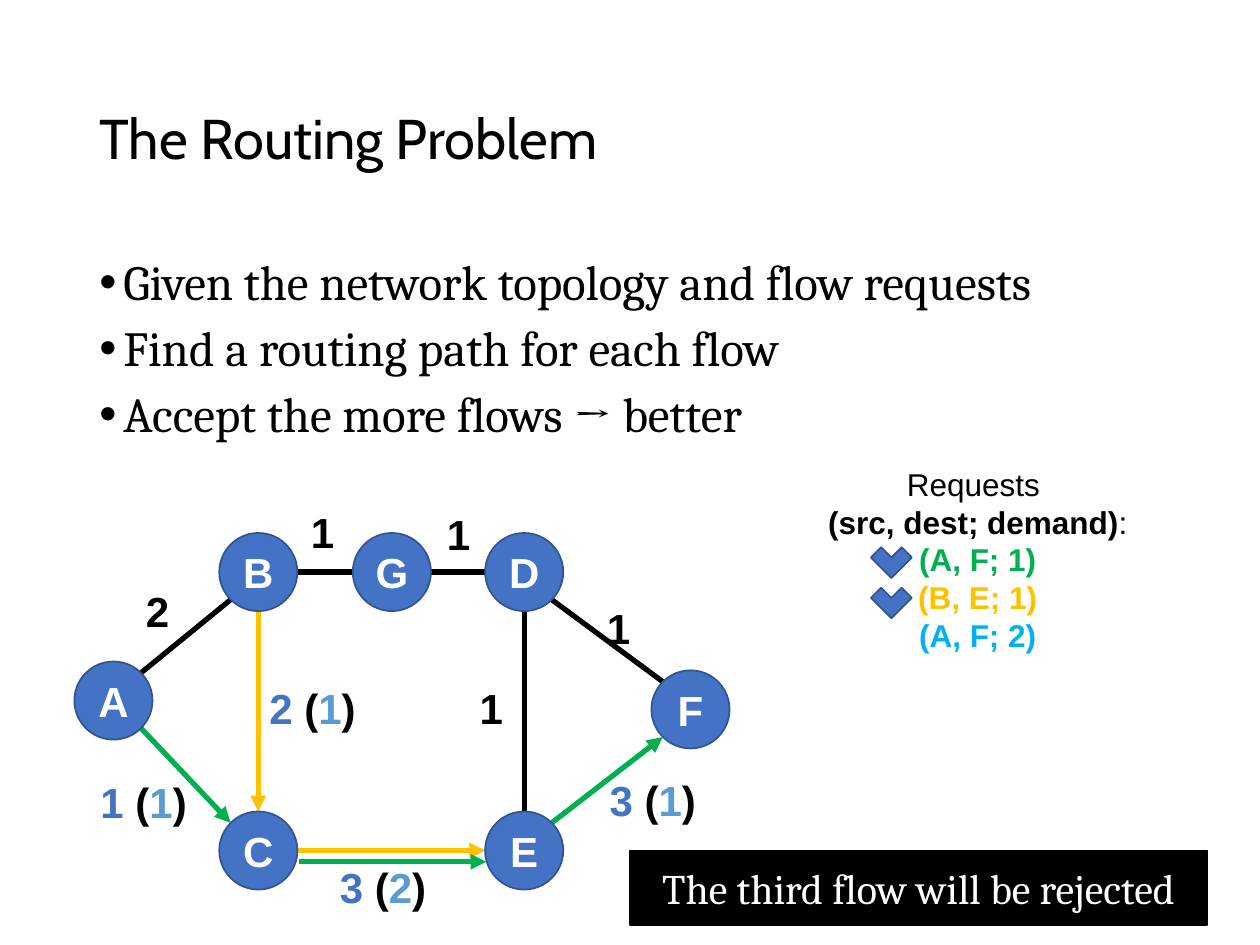
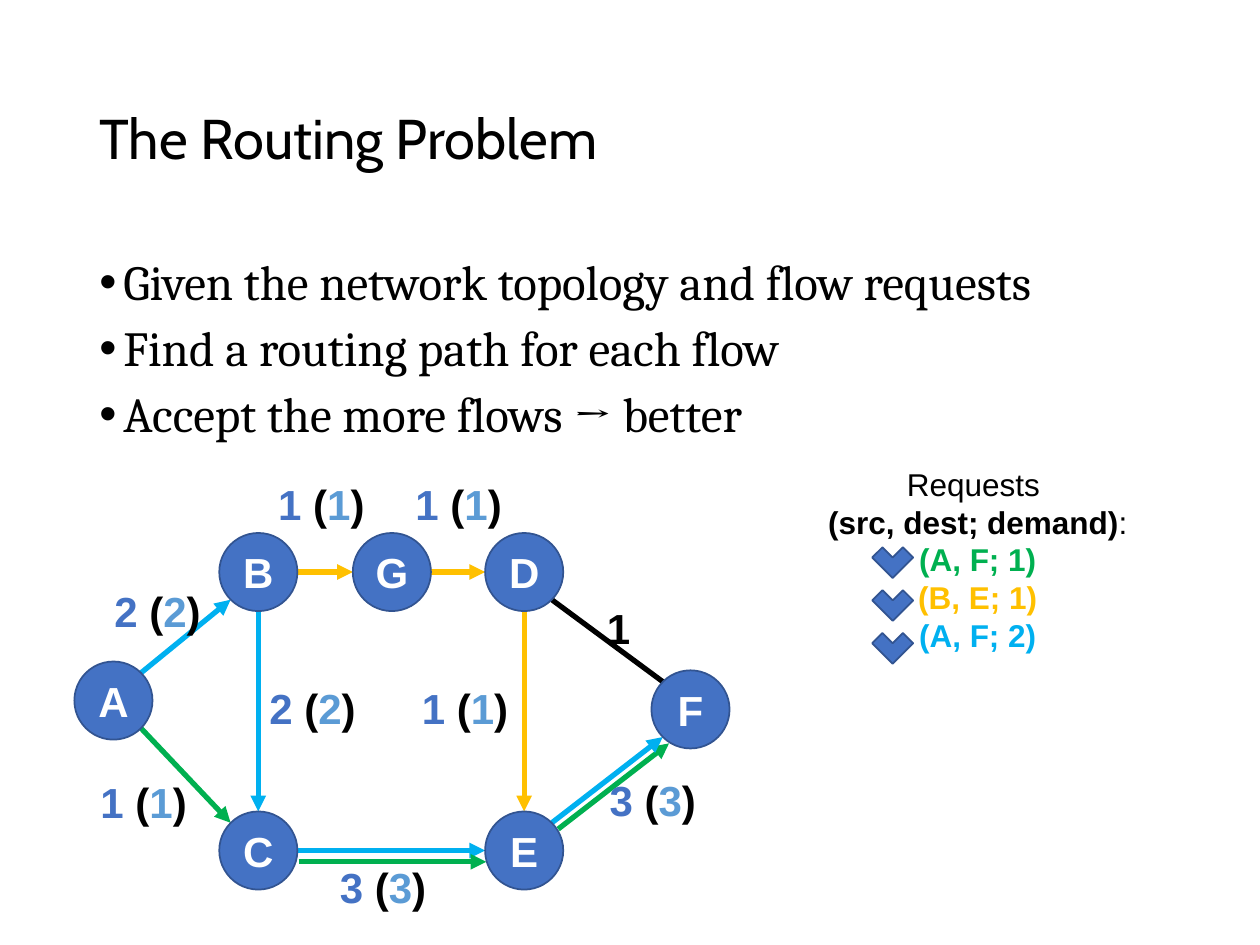
"""Build two slides that show accepted flows in a routing problem."""
from lxml.etree import SubElement
from pptx import Presentation
from pptx.dml.color import RGBColor
from pptx.enum.shapes import MSO_CONNECTOR, MSO_SHAPE
from pptx.enum.text import MSO_ANCHOR as ANCHOR, MSO_AUTO_SIZE, PP_ALIGN as ALIGN
from pptx.oxml import parse_xml
from pptx.oxml.ns import nsdecls, qn
from pptx.util import Inches, Pt

BLACK, WHITE, BLUE, NAVY, SKY = "000000", "FFFFFF", "4472C4", "325491", "5B9BD5"
GREEN, AMBER, CYAN = "00B050", "FFC000", "00B0F0"

TITLE = "The Routing Problem"
BULLETS = [
    "Given the network topology and flow requests",
    "Find a routing path for each flow",
    "Accept the more flows → better",
]
REQUESTS = [
    [("Requests ", BLACK, False)],
    [("(src, dest; demand)", BLACK, True), (":", BLACK, False)],
    [("(A, F; 1)", GREEN, True)],
    [("(B, E; 1)", AMBER, True)],
    [("(A, F; 2)", CYAN, True)],
]

COLUMNS = [0.9, 2.05, 3.11, 4.16, 5.48]
ROWS = [4.54, 5.56, 5.63, 6.75]
NODES = {"A": (0, 1), "B": (1, 0), "C": (1, 3), "D": (3, 0), "E": (3, 3), "F": (4, 2), "G": (2, 0)}
RADIUS, DIAGONAL = 0.31, 0.22

CAPACITY = {"AB": 2, "AC": 1, "BG": 1, "GD": 1, "BC": 2, "DE": 1, "DF": 1, "CE": 3, "EF": 3}
LABEL_SPOTS = {
    "AB": (1.25, 4.6), "AC": (1.14, 6.11), "BG": (2.56, 3.97), "GD": (3.64, 3.99), "BC": (2.48, 5.37),
    "DE": (3.9, 5.37), "DF": (4.91, 4.73), "CE": (3.04, 6.79), "EF": (5.18, 6.1),
}
USED_SPOTS = {"BG": (2.55, 3.75), "GD": (3.64, 3.75), "DE": (3.69, 5.37)}
LABEL_SIZE = (0.89, 0.5)
BELOW, BESIDE = (0.01, 0.09), (0.05, 0.05)

SLIDES = [
    {
        "flows": [("AC", GREEN), ("EF", GREEN), ("CE", AMBER), ("BC", AMBER), ("CE", GREEN, BELOW)],
        "used": {"AC": 1, "BC": 1, "CE": 2, "EF": 1},
        "accepted": 2, "mark": (6.96, 4.31, 0.32),
        "verdict": "The third flow will be rejected",
    },
    {
        "flows": [
            ("AB", CYAN), ("AC", GREEN), ("EF", GREEN, BESIDE), ("BG", AMBER), ("GD", AMBER),
            ("CE", CYAN), ("BC", CYAN), ("CE", GREEN, BELOW), ("DE", AMBER), ("EF", CYAN),
        ],
        "used": {"AB": 2, "AC": 1, "BG": 1, "GD": 1, "BC": 2, "DE": 1, "CE": 3, "EF": 3},
        "accepted": 3, "mark": (6.97, 4.31, 0.34),
        "verdict": None,
    },
]


def rgb(value):
    return RGBColor.from_string(value)


def inches(*lengths):
    return [Inches(length) for length in lengths]


def write(shape, lines, font, size, align=ALIGN.LEFT, anchor=ANCHOR.TOP, wrap=True):
    """Fill a shape with paragraphs of (text, colour, bold[, outline]) runs."""
    frame = shape.text_frame
    frame.word_wrap, frame.vertical_anchor, frame.auto_size = wrap, anchor, MSO_AUTO_SIZE.NONE
    for index, runs in enumerate(lines):
        paragraph = frame.paragraphs[0] if index == 0 else frame.add_paragraph()
        paragraph.alignment = align
        paragraph.font.name, paragraph.font.size = font, Pt(size)
        for text, colour, bold, *outline in runs:
            run = paragraph.add_run()
            run.text = text
            run.font.bold, run.font.color.rgb = bold, rgb(colour)
            if outline:
                run.font._element.insert(0, parse_xml(
                    f'<a:ln {nsdecls("a")} w="9525"><a:solidFill>'
                    f'<a:srgbClr val="{outline[0]}"/></a:solidFill></a:ln>'))
    return frame


def add_shape(slide, kind, box, fill=BLUE, line=NAVY):
    shape = slide.shapes.add_shape(kind, *inches(*box))
    shape.shadow.inherit = False
    shape.fill.solid()
    shape.fill.fore_color.rgb = rgb(fill)
    shape.line.color.rgb, shape.line.width = rgb(line), Pt(1)
    return shape


def add_textbox(slide, box):
    return slide.shapes.add_textbox(*inches(*box))


def add_heading(slide):
    title = write(add_textbox(slide, (0.69, 0.4, 8.62, 1.45)), [[(TITLE, BLACK, False)]],
                  "Cabin", 32, anchor=ANCHOR.MIDDLE)
    title.paragraphs[0].line_spacing = 0.9
    body = add_textbox(slide, (0.69, 2, 8.62, 1.6))
    frame = write(body, [[(text, BLACK, False)] for text in BULLETS], "Cambria", 28)
    for index, paragraph in enumerate(frame.paragraphs):
        paragraph.line_spacing = 0.9
        paragraph.space_before = Pt(7.5 if index else 0)
        properties = paragraph._p.get_or_add_pPr()
        properties.set("marL", str(Inches(0.19)))
        properties.set("indent", str(-Inches(0.19)))
        bullet_font = parse_xml(f'<a:buFont {nsdecls("a")} typeface="Arial"/>')
        bullet = parse_xml(f'<a:buChar {nsdecls("a")} char="•"/>')
        defaults = properties.find(qn("a:defRPr"))
        defaults.addprevious(bullet_font)
        defaults.addprevious(bullet)


def add_requests(slide, accepted, mark):
    write(add_textbox(slide, (6.46, 3.64, 2.6, 1.92)), REQUESTS, "Arial", 18, ALIGN.CENTER)
    left, top, pitch = mark
    for index in range(accepted):
        tick = add_shape(slide, MSO_SHAPE.CORNER, (left, top + index * pitch, 0.23, 0.23))
        tick.rotation = 315


def centre(node):
    column, row = NODES[node]
    return COLUMNS[column], ROWS[row]


def link_ends(link):
    """Return both ends on the node rims, at steps of 45 degrees."""
    start, end = map(centre, link)
    signs = [(b > a) - (b < a) for a, b in zip(start, end)]
    reach = DIAGONAL if all(signs) else RADIUS
    return ([a + reach * sign for a, sign in zip(start, signs)],
            [b - reach * sign for b, sign in zip(end, signs)])


def add_link(slide, link, colour, shift=(0, 0)):
    points = [value + move for point in link_ends(link) for value, move in zip(point, shift)]
    connector = slide.shapes.add_connector(MSO_CONNECTOR.STRAIGHT, *inches(*points))
    connector.line.color.rgb, connector.line.width = rgb(colour), Pt(3)
    if colour != BLACK:
        SubElement(connector.line._get_or_add_ln(), qn("a:tailEnd"), type="triangle")
    SubElement(connector._element.spPr, qn("a:effectLst"))


def add_label(slide, link, used):
    capacity = str(CAPACITY[link])
    middle, top = LABEL_SPOTS[link]
    runs = [(capacity, BLACK, True)]
    if link in used:
        middle, top = USED_SPOTS.get(link, (middle, top))
        runs = [(capacity, BLUE, True, BLACK), (" (", BLACK, True),
                (str(used[link]), SKY, True, BLUE), (")", BLACK, True)]
    width, height = LABEL_SIZE
    label = add_textbox(slide, (middle - width / 2, top, width, height))
    write(label, [runs], "Arial", 24, ALIGN.CENTER, wrap=False)


def add_network(slide, flows, used):
    for link in CAPACITY:
        if link not in used:
            add_link(slide, link, BLACK)
    for flow in flows:
        add_link(slide, *flow)
    for name in NODES:
        x, y = centre(name)
        node = add_shape(slide, MSO_SHAPE.OVAL, (x - RADIUS, y - RADIUS, 2 * RADIUS, 2 * RADIUS))
        frame = write(node, [[(name, WHITE, True)]], "Arial", 24, ALIGN.CENTER, ANCHOR.MIDDLE)
        frame.margin_left = frame.margin_right = 0
    for link in CAPACITY:
        add_label(slide, link, used)


def main():
    presentation = Presentation()
    presentation.slide_width, presentation.slide_height = inches(10, 7.5)
    for content in SLIDES:
        slide = presentation.slides.add_slide(presentation.slide_layouts[6])
        add_heading(slide)
        add_requests(slide, content["accepted"], content["mark"])
        add_network(slide, content["flows"], content["used"])
        if content["verdict"]:
            banner = add_shape(slide, MSO_SHAPE.RECTANGLE, (5, 6.75, 4.58, 0.59), BLACK, BLACK)
            write(banner, [[(content["verdict"], WHITE, False)]], "Cambria", 24,
                  ALIGN.CENTER, ANCHOR.MIDDLE)
    presentation.save("out.pptx")


if __name__ == "__main__":
    main()
